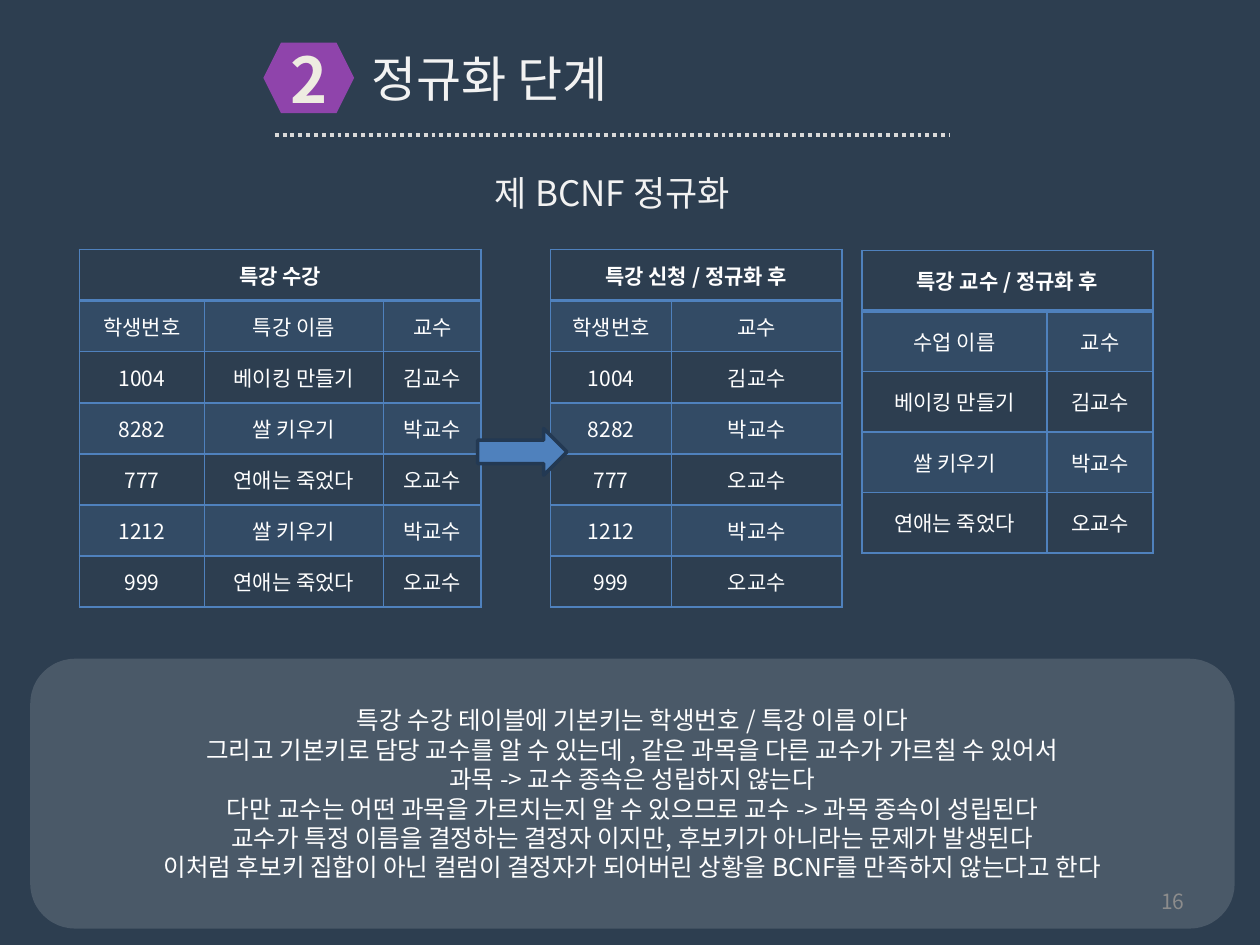
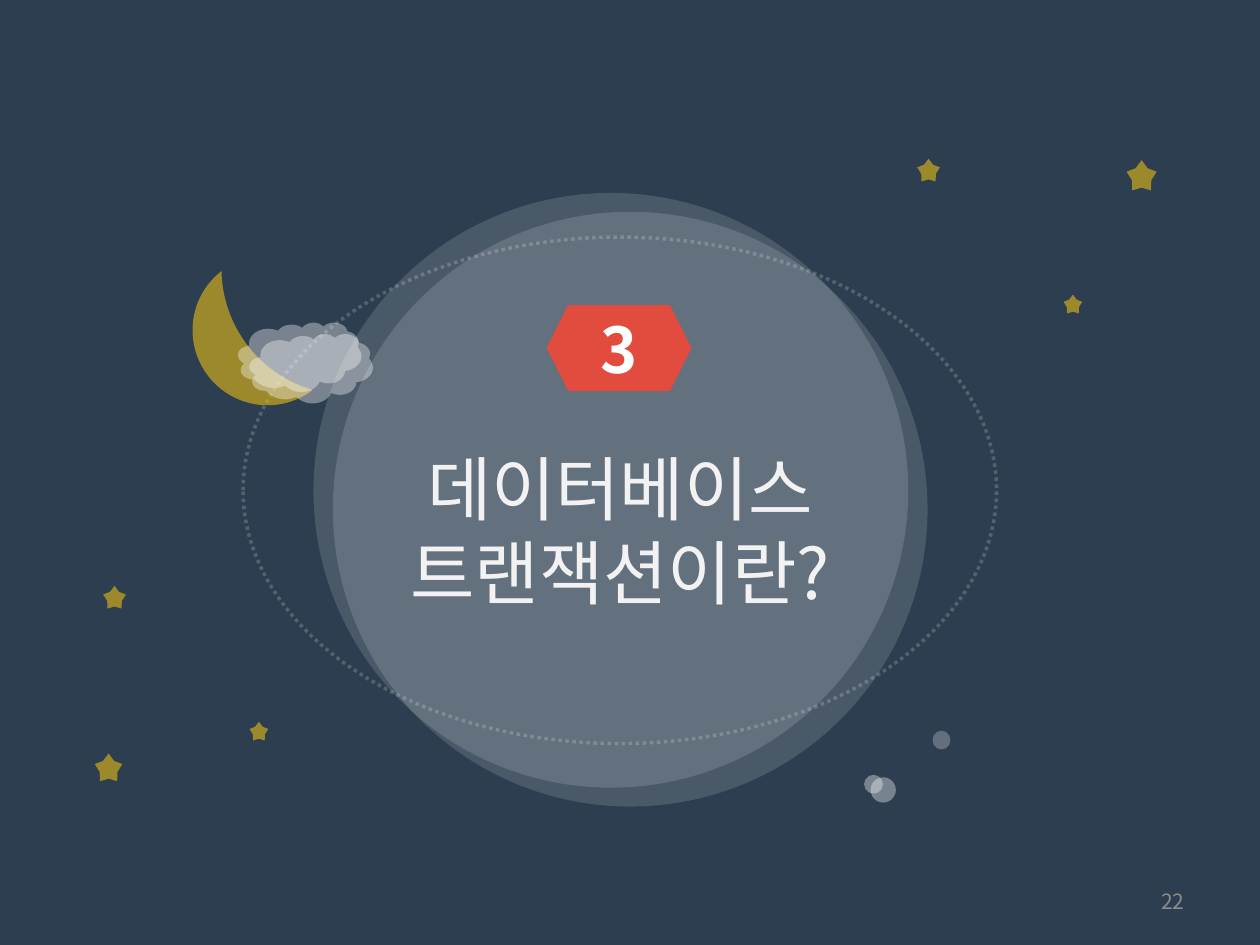
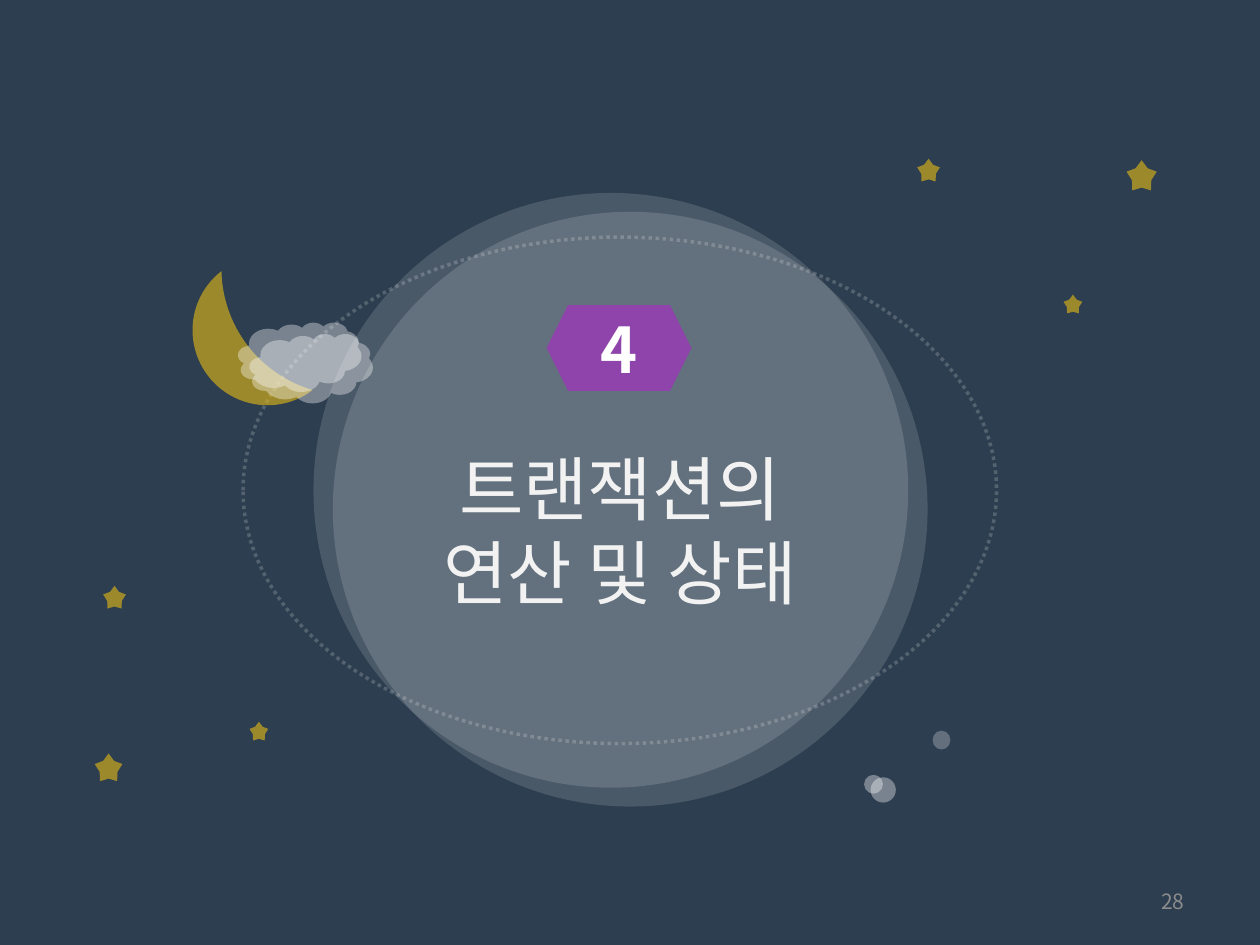
from dataclasses import dataclass

from lxml import etree
from pptx import Presentation
from pptx.dml.color import RGBColor
from pptx.enum.dml import MSO_LINE
from pptx.enum.shapes import MSO_CONNECTOR, MSO_SHAPE
from pptx.enum.text import MSO_ANCHOR, MSO_AUTO_SIZE, PP_ALIGN
from pptx.oxml.ns import qn
from pptx.util import Cm, Pt

LEFT, MID, RIGHT = PP_ALIGN.LEFT, PP_ALIGN.CENTER, PP_ALIGN.RIGHT
TOP, MIDDLE = MSO_ANCHOR.TOP, MSO_ANCHOR.MIDDLE
HEX, OVAL, STAR = MSO_SHAPE.HEXAGON, MSO_SHAPE.OVAL, MSO_SHAPE.STAR_5_POINT
MOON, CLOUD = MSO_SHAPE.MOON, MSO_SHAPE.CLOUD
ARROW, PANEL = MSO_SHAPE.RIGHT_ARROW, MSO_SHAPE.ROUNDED_RECTANGLE
DOTS = MSO_LINE.ROUND_DOT


@dataclass(frozen=True)
class Theme:
    font: str = "Noto Sans CJK KR"
    back: str = "2D3E50"
    white: str = "FFFFFF"
    pale: str = "F2F2F2"
    cream: str = "EEECE1"
    rule: str = "D9D9D9"
    gray: str = "8C8C8C"
    blue: str = "4F81BD"
    navy: str = "233953"
    plum: str = "8F44AB"
    red: str = "E24C3F"
    gold: str = "F3C40F"
    big: int = 40
    num: int = 36
    head: int = 28
    sub: int = 20
    body: int = 14
    small: int = 12


T = Theme()

STEP = {
    "num": "2", "title": "정규화 단계", "sub": "제 BCNF 정규화", "page": "16",
    "notes": [
        "특강 수강 테이블에 기본키는 학생번호 / 특강 이름 이다",
        "그리고 기본키로 담당 교수를 알 수 있는데 , 같은 과목을 다른 교수가 가르칠 수 있어서",
        "과목 -> 교수 종속은 성립하지 않는다",
        "다만 교수는 어떤 과목을 가르치는지 알 수 있으므로 교수 -> 과목 종속이 성립된다",
        "교수가 특정 이름을 결정하는 결정자 이지만, 후보키가 아니라는 문제가 발생된다",
        "이처럼 후보키 집합이 아닌 컬럼이 결정자가 되어버린 상황을 BCNF를 만족하지 않는다고 한다",
    ],
}

TAKEN = [
    ("학생번호", "특강 이름", "교수"),
    ("1004", "베이킹 만들기", "김교수"),
    ("8282", "쌀 키우기", "박교수"),
    ("777", "연애는 죽었다", "오교수"),
    ("1212", "쌀 키우기", "박교수"),
    ("999", "연애는 죽었다", "오교수"),
]
TAUGHT = [
    ("수업 이름", "교수"),
    ("베이킹 만들기", "김교수"),
    ("쌀 키우기", "박교수"),
    ("연애는 죽었다", "오교수"),
]
TABLES = [
    ("특강 수강", TAKEN, (1.6, 5.03), (2.52, 3.61, 1.97), 1.03),
    ("특강 신청 / 정규화 후", [(row[0], row[2]) for row in TAKEN],
     (11.1, 5.03), (2.44, 3.43), 1.03),
    ("특강 교수 / 정규화 후", TAUGHT, (17.38, 5.05), (3.73, 2.13), 1.22),
]

PARTS = [
    ("3", T.red, ["데이터베이스", "트랜잭션이란?"], "22"),
    ("4", T.plum, ["트랜잭션의", "연산 및 상태"], "28"),
]
DISCS = [(6.71, 4.27), (6.32, 3.89)]
STARS = [
    (1.91, 15.19, 0.56), (5.03, 14.55, 0.38), (2.08, 11.81, 0.46),
    (22.71, 3.23, 0.61), (21.44, 5.94, 0.38), (18.49, 3.2, 0.46),
]
SPOTS = [
    ((17.42, 15.62, 0.38, 0.38), 36),
    ((17.55, 15.67, 0.51, 0.51), 36),
    ((18.8, 14.73, 0.36, 0.38), 26),
]
CLOUDS = [(4.8, 6.5), (5.03, 6.73)]


def rgb(hue):
    return RGBColor.from_string(hue)


def fade(root, alpha):
    tone = root.find(qn("a:solidFill")).find(qn("a:srgbClr"))
    etree.SubElement(tone, qn("a:alpha"), val=str(alpha * 1000))


def write(frame, lines, size, hue, align=MID, bold=False, anchor=MIDDLE):
    frame.word_wrap = True
    frame.vertical_anchor = anchor
    for i, line in enumerate(lines):
        para = frame.paragraphs[0] if i == 0 else frame.add_paragraph()
        para.text = line
        para.alignment = align
        if len(lines) > 1:
            para.line_spacing = Pt(size * 1.2)
        font = para.font
        font.size, font.bold = Pt(size), bold
        font.color.rgb = rgb(hue)
        font.name = T.font
        props = para._p.pPr.find(qn("a:defRPr"))
        etree.SubElement(props, qn("a:ea"), typeface=T.font)


def draw(slide, kind, box, hue=None, alpha=100):
    shape = slide.shapes.add_shape(kind, *map(Cm, box))
    shape.shadow.inherit = False
    shape.line.fill.background()
    if hue:
        shape.fill.solid()
        shape.fill.fore_color.rgb = rgb(hue)
        if alpha < 100:
            fade(shape._element.spPr, alpha)
    else:
        shape.fill.background()
    return shape


def stroke(line, hue, width, dash=None):
    line.color.rgb = rgb(hue)
    line.width = Pt(width)
    if dash:
        line.dash_style = dash


def label(slide, box, text, size, hue, align=MID, anchor=TOP):
    area = slide.shapes.add_textbox(*map(Cm, box))
    write(area.text_frame, [text], size, hue, align, anchor=anchor)


def badge(slide, box, num, hue, ink):
    shape = draw(slide, HEX, box, hue)
    write(shape.text_frame, [num], T.num, ink, bold=True)


def head(slide, box, lines, size, align):
    title = slide.shapes.title
    title.left, title.top, title.width, title.height = map(Cm, box)
    title.text_frame.auto_size = MSO_AUTO_SIZE.NONE
    write(title.text_frame, lines, size, T.pale, align, anchor=TOP)
    slide.shapes._spTree.append(title._element)


def page(slide, num):
    label(slide, (18.21, 17.65, 5.92, 1.02), num, T.small, T.gray, RIGHT, MIDDLE)


def border(cell, row):
    props = cell._tc.get_or_add_tcPr()
    widths = {"L": 1, "R": 1, "T": 2 if row == 1 else 1, "B": 2 if row == 0 else 1}
    for i, (side, width) in enumerate(widths.items()):
        edge = etree.Element(qn("a:ln" + side), w=str(Pt(width)))
        fill = etree.SubElement(edge, qn("a:solidFill"))
        etree.SubElement(fill, qn("a:srgbClr"), val=T.blue)
        props.insert(i, edge)


def grid(slide, name, rows, spot, cols, high):
    count = len(rows) + 1
    size = (sum(cols), high * count)
    table = slide.shapes.add_table(count, len(cols), *map(Cm, spot + size)).table
    table.first_row = table.horz_banding = False
    for col, width in zip(table.columns, cols):
        col.width = Cm(width)
    for row in table.rows:
        row.height = Cm(high)
    table.cell(0, 0).merge(table.cell(0, len(cols) - 1))
    for r, row in enumerate([(name,)] + rows):
        for c in range(len(cols)):
            cell = table.cell(r, c)
            if r % 2:
                cell.fill.solid()
                cell.fill.fore_color.rgb = rgb(T.blue)
                fade(cell._tc.tcPr, 20)
            else:
                cell.fill.background()
            border(cell, r)
            if c < len(row):
                write(cell.text_frame, [row[c]], T.small, T.white, bold=r == 0)
                cell.vertical_anchor = MIDDLE


def step(slide):
    badge(slide, (5.31, 0.86, 1.83, 1.42), STEP["num"], T.plum, T.cream)
    head(slide, (7.24, 0.86, 13.41, 1.45), [STEP["title"]], T.head, LEFT)
    rule = slide.shapes.add_connector(
        MSO_CONNECTOR.STRAIGHT, Cm(5.54), Cm(2.72), Cm(19.15), Cm(2.72))
    stroke(rule.line, T.rule, 2.25, DOTS)
    etree.SubElement(rule._element.spPr, qn("a:effectLst"))
    label(slide, (5.64, 3.33, 13.41, 1.12), STEP["sub"], T.sub, T.pale)
    for item in TABLES:
        grid(slide, *item)
    arrow = draw(slide, ARROW, (9.63, 8.64, 1.8, 0.94), T.blue)
    stroke(arrow.line, T.navy, 2)
    panel = draw(slide, PANEL, (0.61, 13.28, 24.28, 5.44), T.white, 14)
    write(panel.text_frame, STEP["notes"], T.body, T.white)
    page(slide, STEP["page"])


def part(slide, num, hue, lines, leaf):
    orbit = draw(slide, OVAL, (4.9, 4.78, 15.19, 10.21))
    stroke(orbit.line, T.white, 2, DOTS)
    fade(orbit._element.spPr.find(qn("a:ln")), 19)
    for spot in DISCS:
        draw(slide, OVAL, spot + (11.99, 11.99), T.white, 14)
    head(slide, (7.57, 8.86, 9.86, 3.68), lines, T.big, MID)
    badge(slide, (11.02, 6.15, 2.92, 1.73), num, hue, T.white)
    for x, y, size in STARS:
        star = draw(slide, STAR, (x, y, size, size), T.gold, 56)
        star.adjustments[0] = 0.32
    for box, alpha in SPOTS:
        draw(slide, OVAL, box, T.white, alpha)
    moon = draw(slide, MOON, (4.04, 5.61, 1.5, 3.02), T.gold, 56)
    moon.adjustments[0] = 0.67
    moon.rotation = 322.5
    for spot in CLOUDS:
        draw(slide, CLOUD, spot + (2.49, 1.4), T.white, 36)
    page(slide, leaf)


def main():
    deck = Presentation()
    deck.slide_width, deck.slide_height = Cm(25.4), Cm(19.05)
    back = deck.slide_master.background.fill
    back.solid()
    back.fore_color.rgb = rgb(T.back)
    plain = deck.slide_layouts[5]
    step(deck.slides.add_slide(plain))
    for item in PARTS:
        part(deck.slides.add_slide(plain), *item)
    deck.save("out.pptx")


if __name__ == "__main__":
    main()
